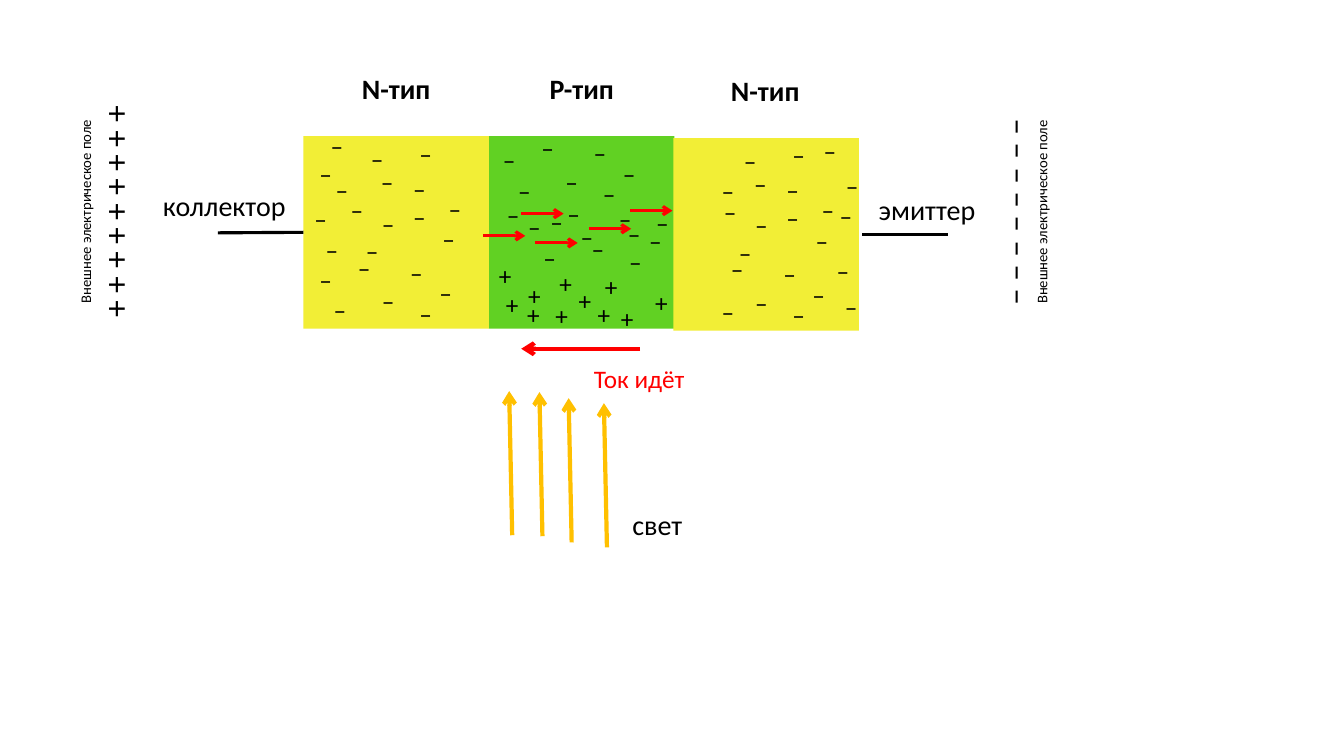
from dataclasses import dataclass
from typing import Optional

from lxml import etree
from pptx import Presentation
from pptx.dml.color import RGBColor
from pptx.enum.shapes import MSO_CONNECTOR, MSO_SHAPE
from pptx.enum.text import MSO_ANCHOR, PP_ALIGN
from pptx.oxml.ns import qn
from pptx.shapes.autoshape import Shape
from pptx.shapes.connector import Connector
from pptx.slide import Slide
from pptx.util import Emu, Pt

EMU_PER_PX = 9144  # 100 px to the inch


def px(length: int) -> Emu:
    return Emu(length * EMU_PER_PX)


@dataclass(frozen=True)
class Theme:
    font: str = "Calibri"
    black: str = "000000"
    n_region: str = "F2EE36"
    p_region: str = "61D123"
    current: str = "FF0000"
    light: str = "FFC000"
    label_size: float = 20
    charge_size: float = 18
    field_size: float = 10.5
    field_sign_size: float = 24
    thin: float = 2.25
    thick: float = 3


THEME = Theme()


@dataclass(frozen=True)
class Line:
    text: str
    size: float = THEME.label_size
    color: str = THEME.black
    bold: bool = False


@dataclass(frozen=True)
class Label:
    left: int
    top: int
    width: int
    height: int
    lines: tuple[Line, ...]
    rotation: int = 0
    inset: bool = False


@dataclass(frozen=True)
class Region:
    left: int
    top: int
    color: str


@dataclass(frozen=True)
class Stroke:
    start: tuple[int, int]
    end: tuple[int, int]
    color: str
    weight: float
    arrow: bool = True


@dataclass(frozen=True)
class Charges:
    sign: str
    box: int
    height: int
    places: tuple[tuple[int, int], ...]


REGION_WIDTH, REGION_HEIGHT = 184, 191
P_REGION = Region(485, 135, THEME.p_region)
COLLECTOR = Region(301, 135, THEME.n_region)
EMITTER = Region(668, 137, THEME.n_region)

HOLES = Charges("+", 26, 28, (
    (485, 259), (492, 288), (545, 267), (583, 298), (640, 286), (513, 298),
    (590, 270), (606, 302), (564, 284), (541, 299), (514, 279)))
COLLECTOR_ELECTRONS = Charges("–", 28, 28, (
    (307, 158), (358, 143), (338, 194), (368, 166), (406, 138), (400, 173),
    (323, 174), (302, 203), (313, 233), (318, 130), (353, 234), (307, 263),
    (345, 251), (321, 293), (369, 284), (400, 201), (435, 193), (429, 223),
    (397, 256), (426, 276), (406, 297), (369, 208)))
EMITTER_ELECTRONS = Charges("–", 28, 28, (
    (728, 145), (708, 196), (738, 168), (776, 139), (770, 174), (706, 175),
    (723, 236), (715, 252), (706, 295), (739, 286), (770, 202), (805, 194),
    (799, 224), (767, 257), (796, 278), (776, 298), (739, 209), (829, 170),
    (823, 200), (820, 254), (807, 135), (828, 290)))
BASE_ELECTRONS = Charges("–", 28, 28, (
    (489, 144), (527, 132), (504, 175), (551, 166), (579, 137), (608, 158),
    (588, 178), (514, 211), (553, 198), (529, 241), (577, 232), (604, 203),
    (634, 224), (614, 245), (493, 199), (536, 206), (566, 221), (613, 218),
    (641, 207)))

FIELD_NAME = Line("Внешнее электрическое поле", THEME.field_size)
PLUS_ROW = Line(" ".join("+" * 9), THEME.field_sign_size)
MINUS_ROW = Line(" ".join("–" * 8), THEME.field_sign_size)

LABELS = (
    Label(301, 70, 184, 36, (Line("N-тип", bold=True),)),
    Label(485, 70, 184, 36, (Line("P-тип", bold=True),)),
    Label(667, 72, 184, 36, (Line("N-тип", bold=True),)),
    Label(151, 186, 143, 36, (Line("коллектор"),)),
    Label(560, 502, 184, 36, (Line("свет"),)),
    Label(857, 190, 125, 36, (Line("эмиттер"),)),
    Label(-23, 161, 255, 98, (FIELD_NAME, PLUS_ROW), 270, True),
    Label(892, 170, 242, 81, (MINUS_ROW, FIELD_NAME), 270, True),
    Label(366, 334, 536, 82,
          (Line("Ток идёт", THEME.charge_size, THEME.current),), inset=True),
)

COLLECTOR_LEAD = Stroke((301, 231), (216, 231), THEME.black, THEME.thin, False)
EMITTER_LEAD = Stroke((940, 233), (855, 233), THEME.black, THEME.thin, False)
ELECTRON_FLOW = tuple(
    Stroke((x, y), (x + 42, y), THEME.current, THEME.thin)
    for x, y in ((517, 212), (479, 234), (531, 241), (584, 227), (625, 209)))
CURRENT = Stroke((635, 346), (517, 346), THEME.current, THEME.thick)
LIGHT_RAYS = tuple(
    Stroke((x, y), (x - 3, y - 143), THEME.light, THEME.thick)
    for x, y in ((538, 532), (508, 531), (567, 538), (602, 543)))


def draw_region(slide: Slide, region: Region) -> Shape:
    block = slide.shapes.add_shape(
        MSO_SHAPE.RECTANGLE, px(region.left), px(region.top),
        px(REGION_WIDTH), px(REGION_HEIGHT))
    block.shadow.inherit = False
    block.fill.solid()
    block.fill.fore_color.rgb = RGBColor.from_string(region.color)
    block.line.fill.background()
    return block


def draw_label(slide: Slide, label: Label) -> None:
    box = slide.shapes.add_textbox(
        px(label.left), px(label.top), px(label.width), px(label.height))
    box.rotation = label.rotation
    frame = box.text_frame
    frame.word_wrap = True
    frame.vertical_anchor = MSO_ANCHOR.MIDDLE
    if not label.inset:
        frame.margin_left = frame.margin_right = 0
        frame.margin_top = frame.margin_bottom = 0
    for index, line in enumerate(label.lines):
        paragraph = frame.add_paragraph() if index else frame.paragraphs[0]
        paragraph.text = line.text
        paragraph.alignment = PP_ALIGN.CENTER
        paragraph.font.name = THEME.font
        paragraph.font.size = Pt(line.size)
        paragraph.font.bold = line.bold
        paragraph.font.color.rgb = RGBColor.from_string(line.color)


def draw_charges(slide: Slide, charges: Charges) -> None:
    sign = (Line(charges.sign, THEME.charge_size),)
    for left, top in charges.places:
        draw_label(slide, Label(left, top, charges.box, charges.height, sign, inset=True))


def draw_stroke(slide: Slide, stroke: Stroke, source: Optional[Shape] = None) -> Connector:
    """Draw a line; a source block is joined at the middle of its left side."""
    connector = slide.shapes.add_connector(
        MSO_CONNECTOR.STRAIGHT, *map(px, stroke.start + stroke.end))
    if source is not None:
        connector.begin_connect(source, 1)
    connector.line.color.rgb = RGBColor.from_string(stroke.color)
    connector.line.width = Pt(stroke.weight)
    properties = connector.element.spPr
    if stroke.arrow:
        etree.SubElement(properties.find(qn("a:ln")), qn("a:tailEnd"), type="arrow")
    etree.SubElement(properties, qn("a:effectLst"))
    return connector


def main() -> None:
    deck = Presentation()
    deck.slide_width, deck.slide_height = px(1333), px(750)
    slide = deck.slides.add_slide(deck.slide_layouts[6])

    draw_region(slide, P_REGION)
    collector = draw_region(slide, COLLECTOR)
    draw_region(slide, EMITTER)
    draw_stroke(slide, COLLECTOR_LEAD, collector)
    draw_stroke(slide, EMITTER_LEAD)
    for charges in (HOLES, COLLECTOR_ELECTRONS, EMITTER_ELECTRONS, BASE_ELECTRONS):
        draw_charges(slide, charges)
    for label in LABELS:
        draw_label(slide, label)
    for stroke in (*ELECTRON_FLOW, CURRENT, *LIGHT_RAYS):
        draw_stroke(slide, stroke)

    deck.save("out.pptx")


if __name__ == "__main__":
    main()
